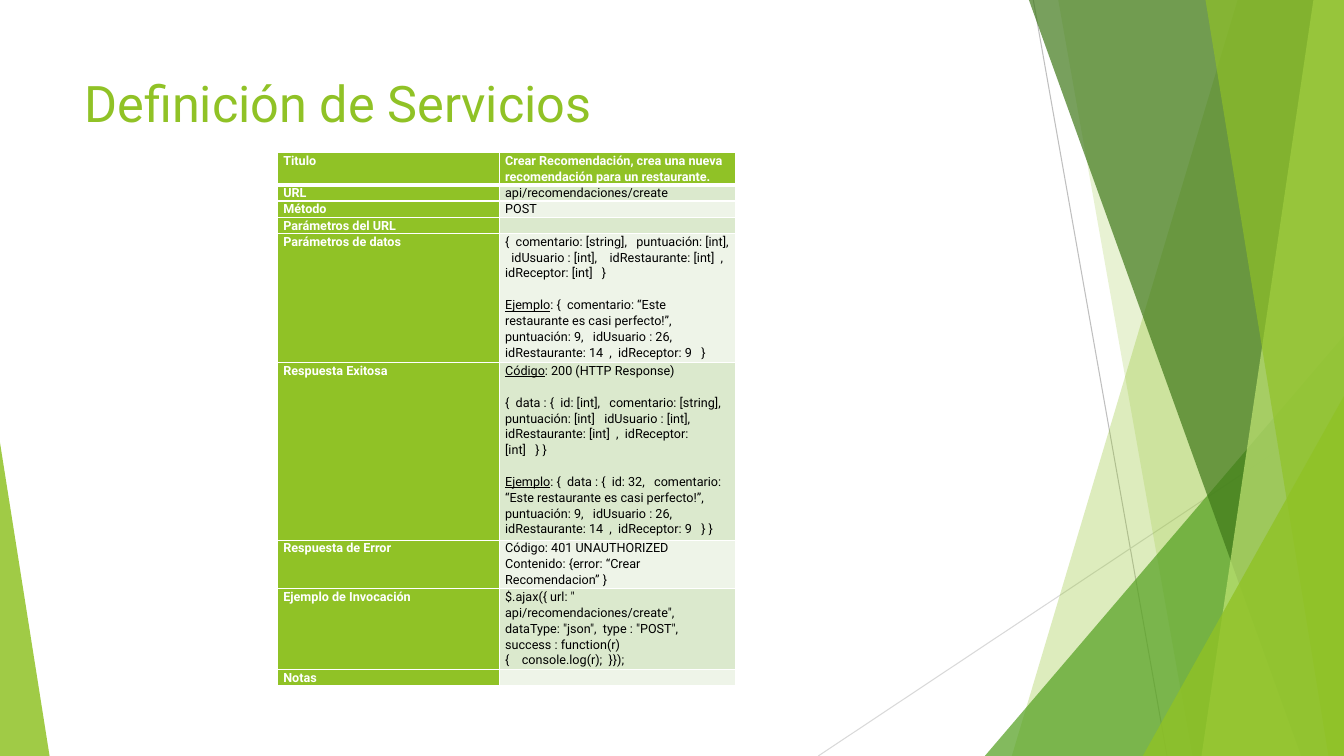
from dataclasses import dataclass

from lxml import etree
from pptx import Presentation
from pptx import util as u
from pptx.dml.color import RGBColor
from pptx.enum import shapes
from pptx.oxml.ns import qn

WIDTH, HEIGHT = 33.87, 19.05
LINE_HEIGHT = 0.4


@dataclass(frozen=True)
class Theme:
    """Colours, font and type sizes of the slide."""
    font: str = "Roboto"
    title_size: int = 36
    table_size: int = 9
    gap: float = 11.3
    green: str = "90C226"
    leaf: str = "54A021"
    forest: str = "3F7819"
    lime: str = "C0E474"
    white: str = "FFFFFF"
    black: str = "000000"
    stripes: tuple = ("EEF4E8", "DBE9CD")
    rules: tuple = ("BFBFBF", "D9D9D9")


class ServiceSlide:
    """Draws the elements of one slide in the given theme."""

    def __init__(self, slide, theme):
        self.slide, self.theme = slide, theme

    def rule(self, start, end, color):
        """Draw a thin straight line."""
        line = self.slide.shapes.add_connector(
            shapes.MSO_CONNECTOR.STRAIGHT, *map(u.Cm, start + end))
        line.line.color.rgb = RGBColor.from_string(color)
        line.line.width = u.Pt(0.75)
        etree.SubElement(line._element.spPr, qn("a:effectLst"))

    def paint(self, shape, color, opacity):
        """Fill a shape with a translucent colour and no outline."""
        shape.shadow.inherit = False
        shape.line.fill.background()
        shape.fill.solid()
        shape.fill.fore_color.rgb = RGBColor.from_string(color)
        tint = shape._element.spPr.find(".//" + qn("a:srgbClr"))
        etree.SubElement(tint, qn("a:alpha"), val=str(opacity * 1000))

    def band(self, top_x, bottom_x, color, opacity):
        """Draw a full-height band that reaches the right edge."""
        builder = self.slide.shapes.build_freeform(u.Cm(top_x), 0)
        corners = [(WIDTH, 0), (WIDTH, HEIGHT), (bottom_x, HEIGHT)]
        builder.add_line_segments([(u.Cm(x), u.Cm(y)) for x, y in corners])
        self.paint(builder.convert_to_shape(), color, opacity)

    def corner(self, left, top, right, apex, color, opacity):
        """Draw a triangle that stands on the bottom edge."""
        shape = self.slide.shapes.add_shape(
            shapes.MSO_SHAPE.ISOSCELES_TRIANGLE, u.Cm(left), u.Cm(top),
            u.Cm(right - left), u.Cm(HEIGHT - top))
        shape.adjustments[0] = apex
        self.paint(shape, color, opacity)

    def run(self, paragraph, words, size, color, bold=False, underline=False):
        """Add one styled run."""
        run = paragraph.add_run()
        run.text = words
        font = run.font
        font.name, font.size = self.theme.font, u.Pt(size)
        font.bold, font.underline = bold, underline
        font.color.rgb = RGBColor.from_string(color)

    def title(self, words):
        """Add the slide title."""
        box = self.slide.shapes.add_textbox(
            u.Cm(1.88), u.Cm(1.7), u.Cm(23.88), u.Cm(3.66))
        box.text_frame.word_wrap = True
        self.run(box.text_frame.paragraphs[0], words,
                 self.theme.title_size, self.theme.green)

    def border(self, cell, header):
        """Give a cell white borders, heavier under the header."""
        properties = cell._tc.get_or_add_tcPr()
        for side in "LRTB":
            points = 3 if header and side == "B" else 1
            line = etree.SubElement(properties, qn("a:ln" + side), w=str(u.Pt(points)))
            fill = etree.SubElement(line, qn("a:solidFill"))
            etree.SubElement(fill, qn("a:srgbClr"), val=self.theme.white)

    def cell(self, cell, paragraphs, fill, color, bold, header):
        """Fill one cell; each paragraph is (label, words, gap before)."""
        cell.margin_left = cell.margin_right = u.Cm(0.15)
        cell.margin_top = cell.margin_bottom = 0
        self.border(cell, header)
        cell.fill.solid()
        cell.fill.fore_color.rgb = RGBColor.from_string(fill)
        size, frame = self.theme.table_size, cell.text_frame
        for index, (label, words, gap) in enumerate(paragraphs):
            paragraph = frame.add_paragraph() if index else frame.paragraphs[0]
            paragraph.line_spacing = 1.07
            if gap:
                paragraph.space_before = u.Pt(self.theme.gap)
            if label:
                self.run(paragraph, label, size, color, bold, True)
            self.run(paragraph, words, size, color, bold)
        if not paragraphs:
            etree.SubElement(frame.paragraphs[0]._p, qn("a:endParaRPr"), sz=str(size * 100))

    def table(self, rows):
        """Add the service table; each row is (name, text lines, paragraphs)."""
        theme, widths = self.theme, (5.59, 5.97)
        height = LINE_HEIGHT * sum(lines for _, lines, _ in rows)
        table = self.slide.shapes.add_table(
            len(rows), 2, u.Cm(6.99), u.Cm(3.84), u.Cm(sum(widths)), u.Cm(height)).table
        for column, width in zip(table.columns, widths):
            column.width = u.Cm(width)
        for index, (name, lines, paragraphs) in enumerate(rows):
            header = index == 0
            table.rows[index].height = u.Cm(LINE_HEIGHT * lines)
            self.cell(table.cell(index, 0), [("", name, False)],
                      theme.green, theme.white, True, header)
            self.cell(table.cell(index, 1), paragraphs,
                      theme.green if header else theme.stripes[index % 2],
                      theme.white if header else theme.black, header, header)


ROWS = [
    ("Titulo", 2, [
        ("", "Crear Recomendación, crea una nueva recomendación para un restaurante.", False)]),
    ("URL", 1, [("", "api/recomendaciones/create", False)]),
    ("Método", 1, [("", "POST", False)]),
    ("Parámetros del URL", 1, []),
    ("Parámetros de datos", 8, [
        ("", "{  comentario: [string],   puntuación: [int],   idUsuario : [int],    "
             "idRestaurante: [int]  ,  idReceptor: [int]   }", False),
        ("Ejemplo", ": {  comentario: “Este restaurante es casi perfecto!”,   puntuación: 9,   "
                    "idUsuario : 26,    idRestaurante: 14  ,  idReceptor: 9   }", True)]),
    ("Respuesta Exitosa", 11, [
        ("Código", ": 200 (HTTP Response)", False),
        ("", "{  data : {  id: [int],   comentario: [string],   puntuación: [int]   "
             "idUsuario : [int],    idRestaurante: [int]  ,  idReceptor: [int]   } }", True),
        ("Ejemplo", ": {  data : {  id: 32,   comentario: “Este restaurante es casi perfecto!”,   "
                    "puntuación: 9,   idUsuario : 26,    idRestaurante: 14  ,  "
                    "idReceptor: 9   } }", True)]),
    ("Respuesta de Error", 3, [
        ("", "Código: 401 UNAUTHORIZED", False),
        ("", "Contenido: {error: “Crear Recomendacion” }", False)]),
    ("Ejemplo de Invocación", 4, [
        ("", '$.ajax({ url: " api/recomendaciones/create",  dataType: "json",  '
             'type : "POST",  success : function(r) {    console.log(r);  }});', False)]),
    ("Notas", 1, []),
]


def main():
    """Build and save the presentation."""
    presentation = Presentation()
    presentation.slide_width, presentation.slide_height = u.Cm(WIDTH), u.Cm(HEIGHT)
    theme = Theme()
    page = ServiceSlide(presentation.slides.add_slide(presentation.slide_layouts[6]), theme)
    page.rule((26.04, 0), (29.41, HEIGHT), theme.rules[0])
    page.rule((WIDTH, 10.24), (20.62, HEIGHT), theme.rules[1])
    page.band(31.19, 25.5, theme.green, 30)
    page.band(26.67, 30.05, theme.green, 20)
    page.corner(24.82, 8.46, WIDTH, 1, theme.leaf, 72)
    page.band(25.93, 32.79, theme.forest, 70)
    page.band(33.1, 30.28, theme.lime, 70)
    page.band(30.38, 33.48, theme.green, 65)
    page.corner(28.8, 9.98, WIDTH, 1, theme.green, 80)
    page.corner(0, 11.15, 1.25, 0, theme.green, 85)
    page.title("Definición de Servicios")
    page.table(ROWS)
    presentation.save("out.pptx")


if __name__ == "__main__":
    main()
